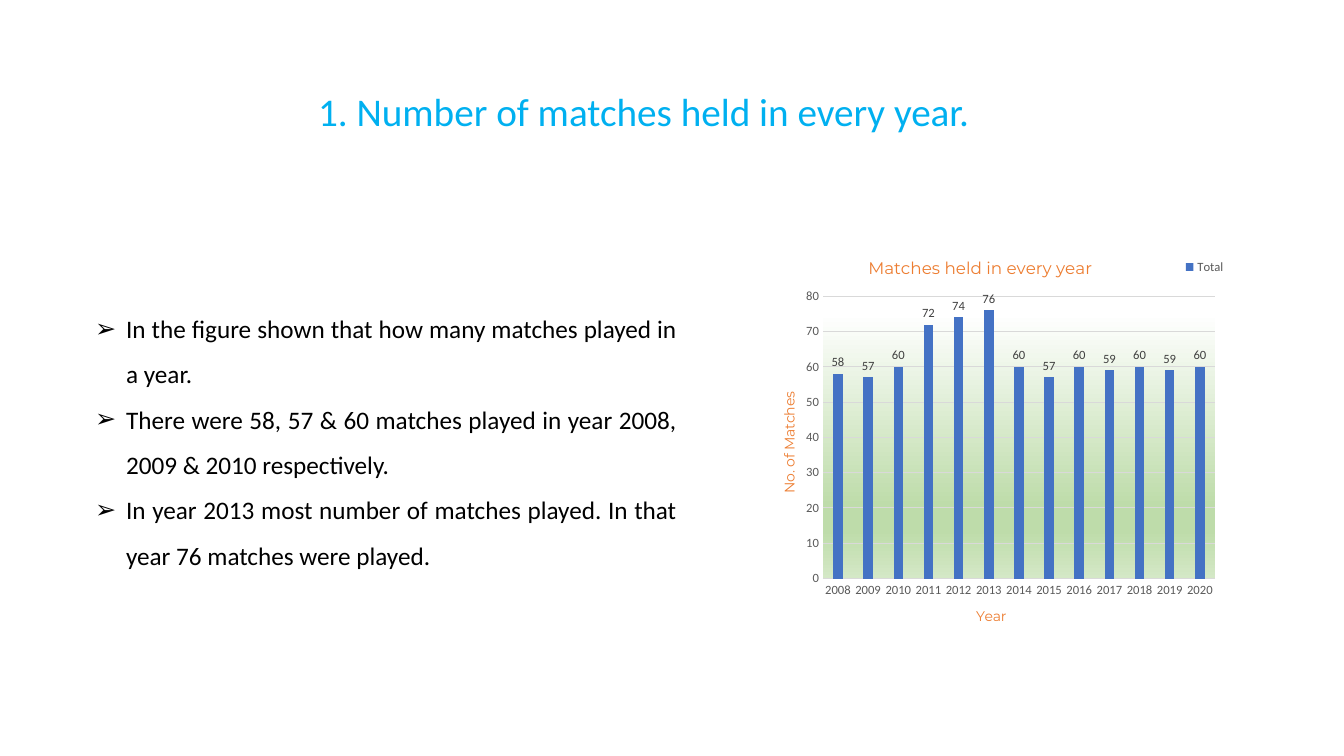
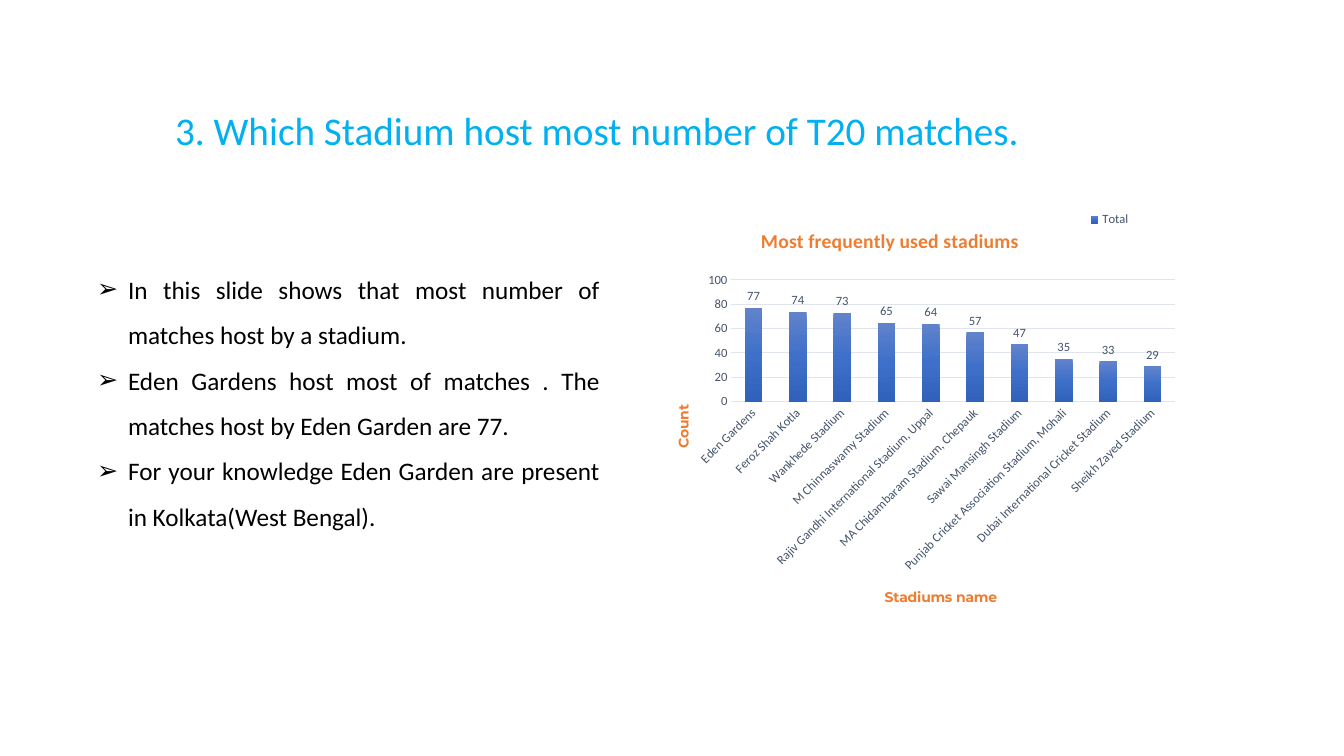
from lxml.etree import SubElement as Sub
from pptx import Presentation
from pptx.chart.data import CategoryChartData as Data
from pptx.dml.color import RGBColor as RGB
from pptx.enum.chart import XL_CHART_TYPE as Kind
from pptx.enum.chart import XL_LABEL_POSITION as Spot
from pptx.enum.chart import XL_LEGEND_POSITION as Side
from pptx.enum.chart import XL_TICK_MARK as Tick
from pptx.enum.text import MSO_ANCHOR as Anchor
from pptx.enum.text import MSO_AUTO_SIZE as Auto
from pptx.enum.text import PP_ALIGN as Align
from pptx.oxml.ns import qn
from pptx.util import Pt

SCALE = 914400 / 100.8
INK = {"head": "00B0F0", "body": "000000", "name": "ED7D31", "bar": "4472C4",
       "gray": "595959", "dark": "404040", "rule": "D9D9D9",
       "slate": "44546A", "mist": "E0E5EB"}
HEAD = {"size": Pt(28), "name": "Calibri", "bold": False}
BODY = {"size": Pt(18), "name": "Calibri"}
SMALL = {"size": Pt(9), "name": "Calibri", "bold": False}
INDENT = 31
BULLET = "\u27a2"

YEARS = {
    "title": "1. Number of matches held in every year.",
    "title_box": (308, 82, 689, 57),
    "points": [
        "In the figure shown that how many matches played in a year.",
        "There were 58, 57 & 60 matches played in year 2008, 2009 & 2010 "
        "respectively.",
        "In year 2013 most number of matches played. In that year 76 matches "
        "were played."],
    "body_box": (85, 293, 602, 316),
    "chart_box": (757, 219, 492, 437),
    "cats": [str(year) for year in range(2008, 2021)],
    "vals": [58, 57, 60, 72, 74, 76, 60, 57, 60, 59, 60, 59, 60],
    "top": 80, "step": 10, "gap": 219, "overlap": -27,
    "ink": "gray", "label": "dark", "rule": "rule", "turn": 0,
    "plot": (0.134, 0.177, 0.797, 0.646),
    "name": ("Matches held in every year", (0.22, 0.08), 12, "Montserrat"),
    "x_name": ("Year", (0.44, 0.88)),
    "y_name": ("No. of Matches", (0.04, 0.39)),
    "bold": False,
    "legend": (Side.RIGHT, (0.86, 0.08, 0.1, 0.06)),
    "back": [(6, "FFFFFF"), (74, "BEDCAA"), (83, "BEDCAA"), (100, "D4E8C6")],
    "blend": None,
}
VENUES = {
    "title": "3. Which Stadium host most number of T20 matches.",
    "title_box": (165, 101, 887, 57),
    "points": [
        "In this slide shows that most number of matches host by a stadium.",
        "Eden Gardens host most of matches . The matches host by Eden Garden "
        "are 77.",
        "For your knowledge Eden Garden are present in Kolkata(West Bengal)."],
    "body_box": (87, 254, 523, 280),
    "chart_box": (649, 176, 542, 435),
    "cats": [
        "Eden Gardens", "Feroz Shah Kotla", "Wankhede Stadium",
        "M Chinnaswamy Stadium", "Rajiv Gandhi International Stadium, Uppal",
        "MA Chidambaram Stadium, Chepauk", "Sawai Mansingh Stadium",
        "Punjab Cricket Association Stadium, Mohali",
        "Dubai International Cricket Stadium", "Sheikh Zayed Stadium"],
    "vals": [77, 74, 73, 65, 64, 57, 47, 35, 33, 29],
    "top": 100, "step": 20, "gap": 150, "overlap": 0,
    "ink": "slate", "label": "slate", "rule": "mist", "turn": -45,
    "plot": (0.152, 0.239, 0.818, 0.28),
    "name": ("Most frequently used stadiums", (0.2, 0.11), 14, "Calibri"),
    "x_name": ("Stadiums name", (0.43, 0.94)),
    "y_name": ("Count", (0.04, 0.52)),
    "bold": True,
    "legend": (Side.TOP, (0.8, 0.07, 0.1, 0.06)),
    "back": None,
    "blend": [(0, "6183CB"), (50, "3E70CA"), (100, "3062BB")],
}


def px(num):
    """Turn pixels into EMU."""
    return round(num * SCALE)


def apply(item, look):
    """Set the attributes of an item from a dict."""
    for key, val in look.items():
        setattr(item, key, val)


def paint(font, look, ink):
    """Give a font its format and colour."""
    apply(font, look)
    font.color.rgb = RGB.from_string(INK[ink])


def place(shape, box):
    """Move a shape to a box in pixels."""
    apply(shape, dict(zip(("left", "top", "width", "height"), map(px, box))))


def fit(frame):
    """Set how a text frame holds its text."""
    apply(frame, {"word_wrap": True, "auto_size": Auto.NONE,
                  "vertical_anchor": Anchor.TOP})


def add_title(slide, text, box):
    """Fill the title placeholder."""
    shape = slide.shapes.title
    place(shape, box)
    fit(shape.text_frame)
    para = shape.text_frame.paragraphs[0]
    para.text = text
    para.alignment = Align.LEFT
    paint(para.runs[0].font, HEAD, "head")


def add_list(slide, points, box):
    """Fill the body placeholder with arrow bullets."""
    shape = slide.placeholders[1]
    place(shape, box)
    frame = shape.text_frame
    frame.text = "\n".join(points)
    fit(frame)
    for para in frame.paragraphs:
        apply(para, {"alignment": Align.JUSTIFY, "line_spacing": 1.5,
                     "space_before": Pt(0)})
        props = para._p.get_or_add_pPr()
        props.set("marL", str(px(INDENT)))
        props.set("indent", str(-px(INDENT)))
        Sub(props, qn("a:buChar"), char=BULLET)
        paint(para.runs[0].font, BODY, "body")


def blend(props, stops):
    """Add a gradient that runs from top to bottom."""
    grad = Sub(props, qn("a:gradFill"), rotWithShape="1")
    group = Sub(grad, qn("a:gsLst"))
    for pos, tint in stops:
        stop = Sub(group, qn("a:gs"), pos=str(pos * 1000))
        Sub(stop, qn("a:srgbClr"), val=tint)
    Sub(grad, qn("a:lin"), ang="5400000", scaled="0")


def pin(part, slot, box, inner=False):
    """Fix a chart part at fractions of the chart area."""
    for old in part.findall(qn("c:layout")):
        part.remove(old)
    outer = Sub(part, qn("c:layout"))
    part.insert(slot, outer)
    spot = Sub(outer, qn("c:manualLayout"))
    if inner:
        Sub(spot, qn("c:layoutTarget"), val="inner")
    for key in "xy":
        Sub(spot, qn(f"c:{key}Mode"), val="edge")
    for key, val in zip("xywh", box):
        Sub(spot, qn(f"c:{key}"), val=str(val))


def turn(body, angle):
    """Rotate chart text by degrees."""
    body.set("rot", str(angle * 60000))
    body.set("vert", "horz")


def add_name(owner, text, spot, look, angle=0):
    """Title a chart or an axis."""
    title = owner.chart_title if hasattr(owner, "plots") else owner.axis_title
    frame = title.text_frame
    frame.text = text
    paint(frame.paragraphs[0].runs[0].font, look, "name")
    turn(frame._txBody.find(qn("a:bodyPr")), angle)
    pin(title._element, 1, spot)


def set_axes(chart, data):
    """Format both axes."""
    cat, val = chart.category_axis, chart.value_axis
    apply(val, {"minimum_scale": 0, "maximum_scale": data["top"],
                "major_unit": data["step"]})
    look = {"size": Pt(10), "name": "Montserrat", "bold": data["bold"]}
    for axis, key, angle in ((cat, "x_name", 0), (val, "y_name", -90)):
        apply(axis, {"major_tick_mark": Tick.NONE,
                     "minor_tick_mark": Tick.NONE})
        paint(axis.tick_labels.font, SMALL, data["ink"])
        add_name(axis, *data[key], look, angle)
    turn(cat._element.find(qn("c:txPr")).find(qn("a:bodyPr")), data["turn"])
    for line in (cat.format.line, val.major_gridlines.format.line):
        line.width = Pt(0.75)
        line.color.rgb = RGB.from_string(INK[data["rule"]])
    val.format.line.fill.background()


def set_bars(plot, data):
    """Format the columns and their labels."""
    apply(plot, {"gap_width": data["gap"], "overlap": data["overlap"],
                 "vary_by_categories": False, "has_data_labels": True})
    apply(plot.data_labels, {"show_value": True,
                             "position": Spot.OUTSIDE_END})
    paint(plot.data_labels.font, SMALL, data["label"])
    bars = plot.series[0]
    if data["blend"]:
        blend(bars._element.get_or_add_spPr(), data["blend"])
    else:
        bars.format.fill.solid()
        bars.format.fill.fore_color.rgb = RGB.from_string(INK["bar"])


def add_columns(slide, data):
    """Add the column chart."""
    table = Data()
    table.categories = data["cats"]
    table.add_series("Total", data["vals"])
    chart = slide.shapes.add_chart(
        Kind.COLUMN_CLUSTERED, *map(px, data["chart_box"]), table).chart
    paint(chart.font, {"size": Pt(10), "name": "Calibri"}, "body")
    text, spot, size, face = data["name"]
    add_name(chart, text, spot,
             {"size": Pt(size), "name": face, "bold": data["bold"]})
    set_axes(chart, data)
    set_bars(chart.plots[0], data)
    side, box = data["legend"]
    chart.has_legend = True
    apply(chart.legend, {"position": side, "include_in_layout": False})
    paint(chart.legend.font, SMALL, data["ink"])
    pin(chart.legend._element, 1, box)
    area = chart._chartSpace.chart.plotArea
    pin(area, 0, data["plot"], inner=True)
    if data["back"]:
        blend(Sub(area, qn("c:spPr")), data["back"])


def main():
    """Build and save the deck."""
    deck = Presentation()
    apply(deck, {"slide_width": px(1344), "slide_height": px(756)})
    for data in (YEARS, VENUES):
        slide = deck.slides.add_slide(deck.slide_layouts[1])
        add_title(slide, data["title"], data["title_box"])
        add_list(slide, data["points"], data["body_box"])
        add_columns(slide, data)
    deck.save("out.pptx")


main()
